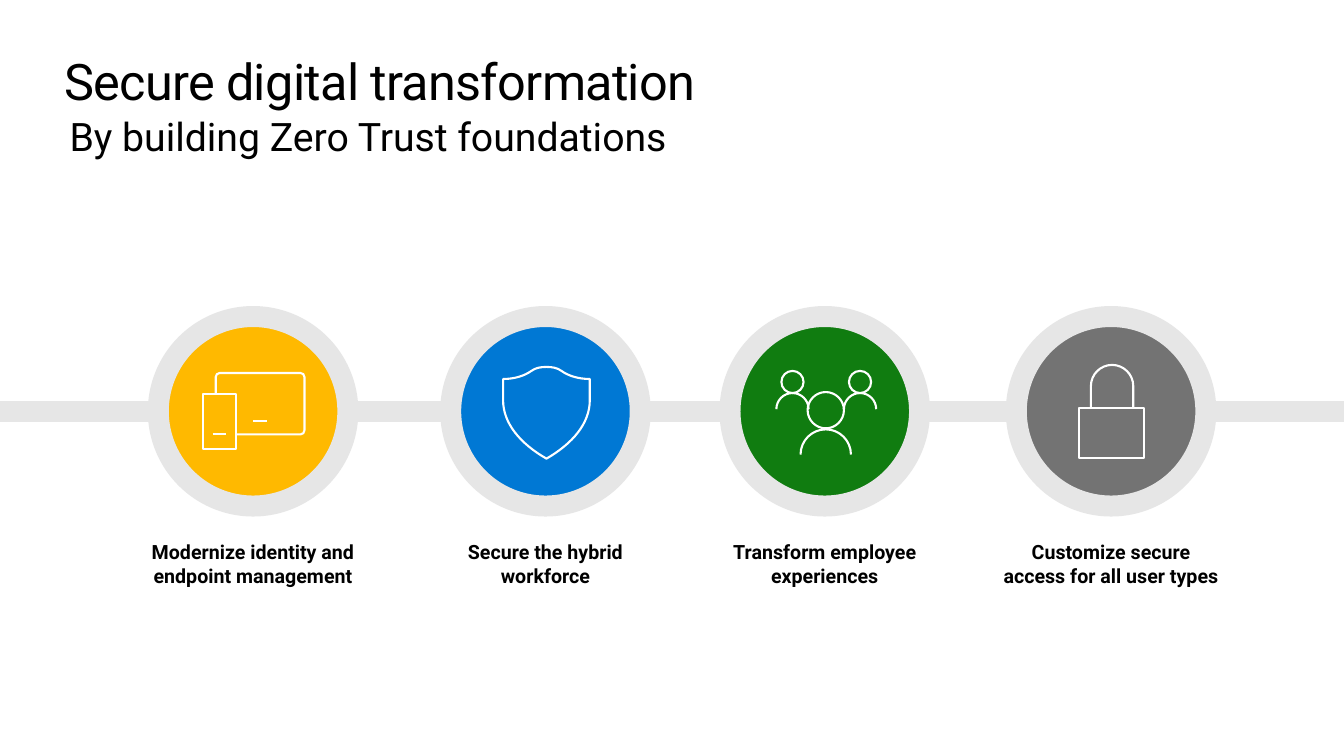
import math
from dataclasses import dataclass

import pptx
import pptx.dml.color
import pptx.enum.shapes
import pptx.enum.text
import pptx.oxml
import pptx.oxml.ns
import pptx.util
from pptx.util import Inches

SHAPES = pptx.enum.shapes.MSO_SHAPE
ALIGN = pptx.enum.text.PP_ALIGN


@dataclass(frozen=True)
class Theme:
    font: str = "Roboto"
    text: str = "000000"
    rail: str = "E6E6E6"
    icon: str = "FFFFFF"
    amber: str = "FFB900"
    blue: str = "0078D4"
    green: str = "107C10"
    gray: str = "737373"
    title_size: float = 36
    subtitle_size: float = 28
    label_size: float = 14
    rail_width: float = 15
    icon_width: float = 1.5


THEME = Theme()
SLIDE_WIDTH, SLIDE_HEIGHT = 13.33, 7.5


def rgb(value):
    return pptx.dml.color.RGBColor.from_string(value)


def set_line(line, color, width):
    line.color.rgb = rgb(color)
    line.width = pptx.util.Pt(width)


def add_text(slide, box, text, size, bold=False, align=ALIGN.LEFT, insets=(0, 0)):
    frame = slide.shapes.add_textbox(*map(Inches, box)).text_frame
    frame.word_wrap = True
    frame.margin_left = frame.margin_right = Inches(insets[0])
    frame.margin_top = frame.margin_bottom = Inches(insets[1])
    frame.text = text
    paragraph = frame.paragraphs[0]
    paragraph.alignment = align
    run = paragraph.runs[0]
    run.font.name = THEME.font
    run.font.size = pptx.util.Pt(size)
    run.font.bold = bold
    run.font.color.rgb = rgb(THEME.text)
    return run


# An outline is a list of steps: each step is a list of one point (a straight
# side) or of three points (a Bézier curve); the first step is the start.
def arc(x, y, radius, start, quarters):
    def at(angle, pull=0):
        cos, sin = math.cos(math.radians(angle)), math.sin(math.radians(angle))
        return x + radius * (cos - pull * sin), y + radius * (sin + pull * cos)

    turn, pull = math.copysign(90, quarters), math.copysign(0.55, quarters)
    steps = [[at(start)]]
    for _ in range(abs(quarters)):
        steps.append([at(start, pull), at(start + turn, -pull), at(start + turn)])
        start += turn
    return steps


def straight(*points):
    return [[point] for point in points]


def rectangle(left, top, right, bottom):
    return straight((left, top), (right, top), (right, bottom), (left, bottom), (left, top))


# Icons: outlines measured from the centre of the disc
def devices_icon():
    tablet = [*straight((-0.17, 0.23)), *arc(0.47, 0.19, 0.04, 90, -1),
              *arc(0.47, -0.34, 0.04, 0, -1), *arc(-0.33, -0.34, 0.04, -90, -1),
              *straight((-0.37, -0.17))]
    return [rectangle(-0.5, -0.17, -0.17, 0.37), tablet,
            straight((-0.4, 0.23), (-0.27, 0.23)), straight((0, 0.1), (0.14, 0.1))]


def shield_icon():
    return [[[(0.44, -0.11)],
             [(0.44, 0.12), (0.27, 0.32), (0.01, 0.47)],
             [(-0.25, 0.32), (-0.42, 0.12), (-0.42, -0.11)],
             [(-0.42, -0.32)],
             [(-0.31, -0.32), (-0.21, -0.35), (-0.14, -0.4)],
             [(-0.1, -0.43), (-0.05, -0.44), (0.01, -0.44)],
             [(0.07, -0.44), (0.12, -0.43), (0.16, -0.4)],
             [(0.23, -0.35), (0.33, -0.32), (0.44, -0.32)],
             [(0.44, -0.11)]]]


def people_icon():
    outlines = []
    for x, head_y, head, shoulder_y, shoulder in (
            (0.01, -0.01, 0.18, 0.43, 0.25),
            (-0.32, -0.29, 0.11, -0.02, 0.16),
            (0.35, -0.29, 0.11, -0.02, 0.16)):
        outlines += [arc(x, head_y, head, 180, 4), arc(x, shoulder_y, shoulder, 180, 2)]
    return outlines


def lock_icon():
    shackle = [*straight((0.22, -0.03)), *arc(0.01, -0.25, 0.21, 0, -2),
               *straight((-0.2, -0.03))]
    return [rectangle(-0.32, -0.03, 0.33, 0.46), shackle]


def draw_icon(slide, center_x, center_y, outlines):
    builder = None
    for outline in outlines:
        start, *rest = [(Inches(center_x + x), Inches(center_y + y))
                        for step in outline for x, y in step]
        if builder is None:
            builder = slide.shapes.build_freeform(*start, scale=1.0)
        else:
            builder.move_to(*start)
        closed = math.dist(start, rest[-1]) < Inches(0.01)
        builder.add_line_segments(rest, close=closed)
    icon = builder.convert_to_shape()
    icon.shadow.inherit = False
    icon.fill.background()
    set_line(icon.line, THEME.icon, THEME.icon_width)
    # Join each group of three points into one curve
    qn = pptx.oxml.ns.qn
    nodes = [node for node in icon._element.iter(qn("a:moveTo"), qn("a:lnTo"))]
    remaining = iter(nodes)
    for step in (step for outline in outlines for step in outline):
        group = [next(remaining) for _ in step]
        if len(group) == 3:
            curve = group[0].makeelement(qn("a:cubicBezTo"), {})
            group[0].addprevious(curve)
            for node in group:
                curve.append(node[0])
                node.getparent().remove(node)


# Heading
def add_heading(slide, left, top, width):
    title = add_text(slide, (left, top, width, 0.61), "Secure digital transformation",
                     THEME.title_size)
    title.font._element.set("spc", "-50")
    add_text(slide, (left + 0.05, top + 0.61, width, 1.9),
             "By building Zero Trust foundations", THEME.subtitle_size)


# Horizontal rail behind the discs
def add_rail(slide, left, y, width):
    rail = slide.shapes.add_connector(pptx.enum.shapes.MSO_CONNECTOR.STRAIGHT,
                                      *map(Inches, (left, y, left + width, y)))
    set_line(rail.line, THEME.rail, THEME.rail_width)
    rail._element.spPr.append(pptx.oxml.parse_xml(
        '<a:effectLst xmlns:a="http://schemas.openxmlformats.org/drawingml/2006/main"/>'))


# One step: ringed disc, icon and label
def add_step(slide, center_x, center_y, color, outlines, label, label_width, label_height):
    size = 1.88
    disc = slide.shapes.add_shape(SHAPES.OVAL, *map(Inches, (
        center_x - size / 2, center_y - size / 2, size, size)))
    disc.shadow.inherit = False
    disc.fill.solid()
    disc.fill.fore_color.rgb = rgb(color)
    set_line(disc.line, THEME.rail, THEME.rail_width)
    draw_icon(slide, center_x, center_y, outlines)
    add_text(slide, (center_x - label_width / 2, center_y + 1.13, label_width, label_height),
             label, THEME.label_size, bold=True, align=ALIGN.CENTER, insets=(0.13, 0.15))


def add_steps(slide, left, center_y, width):
    add_rail(slide, left, center_y, width)
    for center_x, *step in (
            (2.51, THEME.amber, devices_icon(),
             "Modernize identity and endpoint management", 2.46, 0.84),
            (5.41, THEME.blue, shield_icon(), "Secure the hybrid workforce", 2.29, 0.84),
            (8.18, THEME.green, people_icon(), "Transform employee experiences", 2.29, 0.74),
            (11.02, THEME.gray, lock_icon(),
             "Customize secure access for all user types", 2.44, 0.74)):
        add_step(slide, left + center_x, center_y, *step)


def main():
    deck = pptx.Presentation()
    deck.slide_width, deck.slide_height = Inches(SLIDE_WIDTH), Inches(SLIDE_HEIGHT)
    slide = deck.slides.add_slide(deck.slide_layouts[6])
    add_heading(slide, 0.64, 0.5, 12.05)
    add_steps(slide, 0, 4.08, SLIDE_WIDTH)
    deck.save("out.pptx")


if __name__ == "__main__":
    main()
